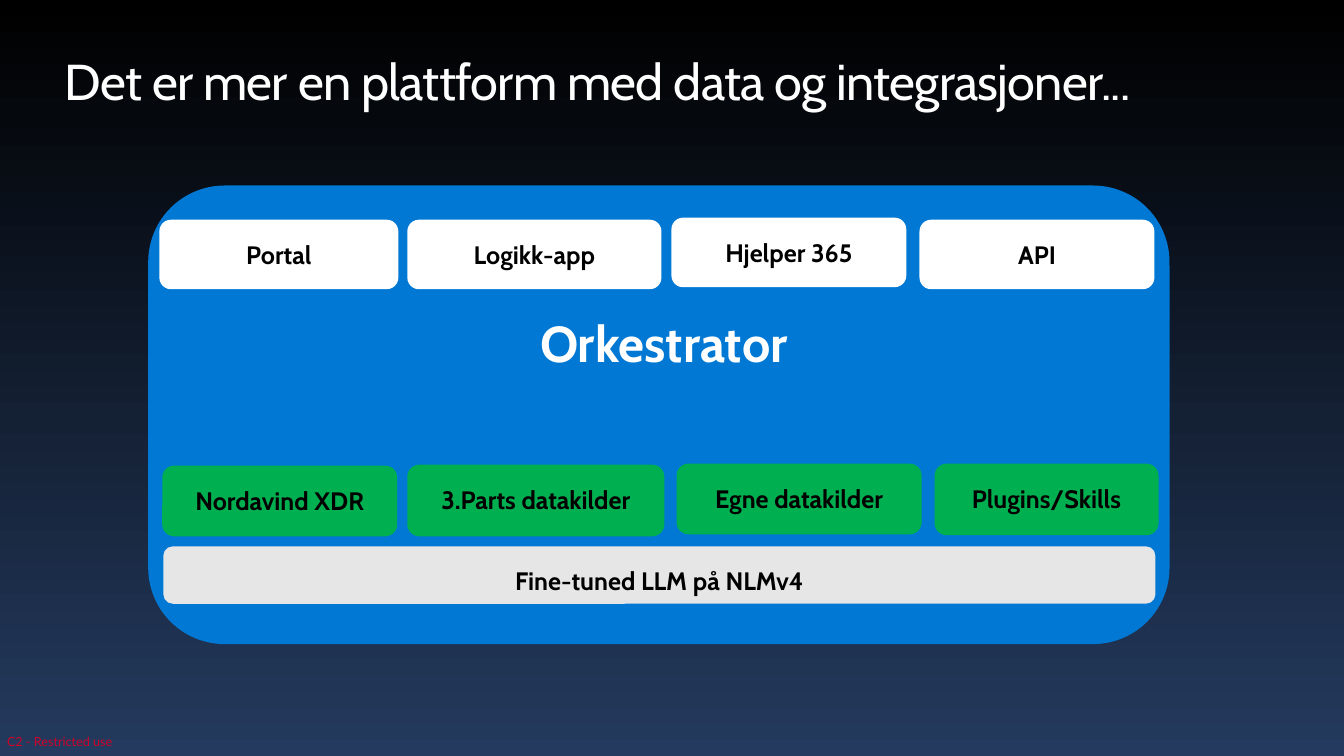
from pptx import Presentation
from pptx.dml.color import RGBColor
from pptx.enum.shapes import MSO_SHAPE
from pptx.enum.text import MSO_ANCHOR, PP_ALIGN
from pptx.util import Inches, Pt

COLORS = {"night": "000000", "navy": "243A5E", "panel": "0078D4", "white": "FFFFFF",
          "black": "000000", "source": "00B050", "model": "E6E6E6", "label": "CF022B"}
HEADING = {"name": "Cabin", "size": Pt(36), "color": "white"}
CORE = {**HEADING, "bold": True}
TILE = {"name": "Cabin", "size": Pt(18), "color": "black", "bold": True}
LABEL = {"name": "Lato", "size": Pt(9), "color": "label"}

PANEL = (1.47, 1.84, 10.13, 4.55)
CHANNELS = [("Portal", 1.09, 7.47, 23.4, 15.16),
            ("Logikk-app", 25.37, 7.47, 24.88, 15.16),
            ("Hjelper 365", 51.23, 7.03, 23, 15.16),
            ("API", 75.52, 7.47, 23, 15.16)]
SOURCES = [("Nordavind XDR", 1.38, 61.1, 23, 15.4),
           ("3.Parts datakilder", 25.37, 60.88, 25.17, 15.6),
           ("Egne datakilder", 51.73, 60.66, 23.99, 15.4),
           ("Plugins/Skills", 77, 60.66, 21.92, 15.6)]
MODEL = [("Fine-tuned LLM på NLMv4", 1.48, 78.68, 97.14, 12.53)]
ORCHESTRATOR = [("Orkestrator", 25.07, 24.18, 50.84, 34.51)]


def rgb(name):
    """Return the named palette colour."""
    return RGBColor.from_string(COLORS[name])


def inside(box, x, y, w, h):
    """Turn percentages of a box into a box in inches."""
    left, top, width, height = box
    return (left + width * x / 100, top + height * y / 100,
            width * w / 100, height * h / 100)


def write(tf, text, style, align=PP_ALIGN.LEFT, pad=(0, 0)):
    """Write one styled line into a text frame."""
    frame = {"word_wrap": True, "vertical_anchor": MSO_ANCHOR.TOP,
             "margin_left": Inches(pad[0]), "margin_right": Inches(pad[0]),
             "margin_top": Inches(pad[1]), "margin_bottom": Inches(pad[1])}
    for key, value in frame.items():
        setattr(tf, key, value)
    p = tf.paragraphs[0]
    p.alignment = align
    r = p.add_run()
    r.text = text
    for key, value in style.items():
        if key == "color":
            r.font.color.rgb = rgb(value)
        else:
            setattr(r.font, key, value)
    return r


def add_block(s, box, fill, kind=MSO_SHAPE.ROUNDED_RECTANGLE):
    """Add a plain filled shape."""
    sp = s.shapes.add_shape(kind, *map(Inches, box))
    sp.shadow.inherit = False
    sp.fill.solid()
    sp.fill.fore_color.rgb = rgb(fill)
    sp.line.fill.background()
    return sp


def add_line(s, box, text, style):
    """Add a text box without margins."""
    sp = s.shapes.add_textbox(*map(Inches, box))
    return write(sp.text_frame, text, style)


def add_background(s):
    """Paint the vertical night gradient."""
    fill = s.background.fill
    fill.gradient()
    fill.gradient_angle = 270
    for stop, position, name in zip(fill.gradient_stops, (0, 1), ("night", "navy")):
        stop.position = position
        stop.color.rgb = rgb(name)


def add_tiles(s, box, tiles, fill, style=TILE, kind=MSO_SHAPE.ROUNDED_RECTANGLE):
    """Add captioned tiles placed by percentages of the box."""
    for text, *share in tiles:
        sp = add_block(s, inside(box, *share), fill, kind)
        write(sp.text_frame, text, style, PP_ALIGN.CENTER, (0.2, 0.16))


def add_platform(s, box):
    """Add the platform panel with its layers."""
    add_block(s, box, "panel")
    add_tiles(s, box, ORCHESTRATOR, "panel", CORE, MSO_SHAPE.RECTANGLE)
    add_tiles(s, box, CHANNELS, "white")
    add_tiles(s, box, SOURCES, "source")
    add_tiles(s, box, MODEL, "model")


def main():
    """Build and save the slide."""
    prs = Presentation()
    prs.slide_width, prs.slide_height = Inches(13.33), Inches(7.5)
    s = prs.slides.add_slide(prs.slide_layouts[6])
    add_background(s)
    add_line(s, (0.07, 7.28, 1.13, 0.15), "C2 - Restricted use", LABEL)
    title = add_line(s, (0.64, 0.5, 12.05, 0.61),
                     "Det er mer en plattform med data og integrasjoner...", HEADING)
    title.font._element.set("spc", "-50")
    add_platform(s, PANEL)
    prs.save("out.pptx")


if __name__ == "__main__":
    main()
